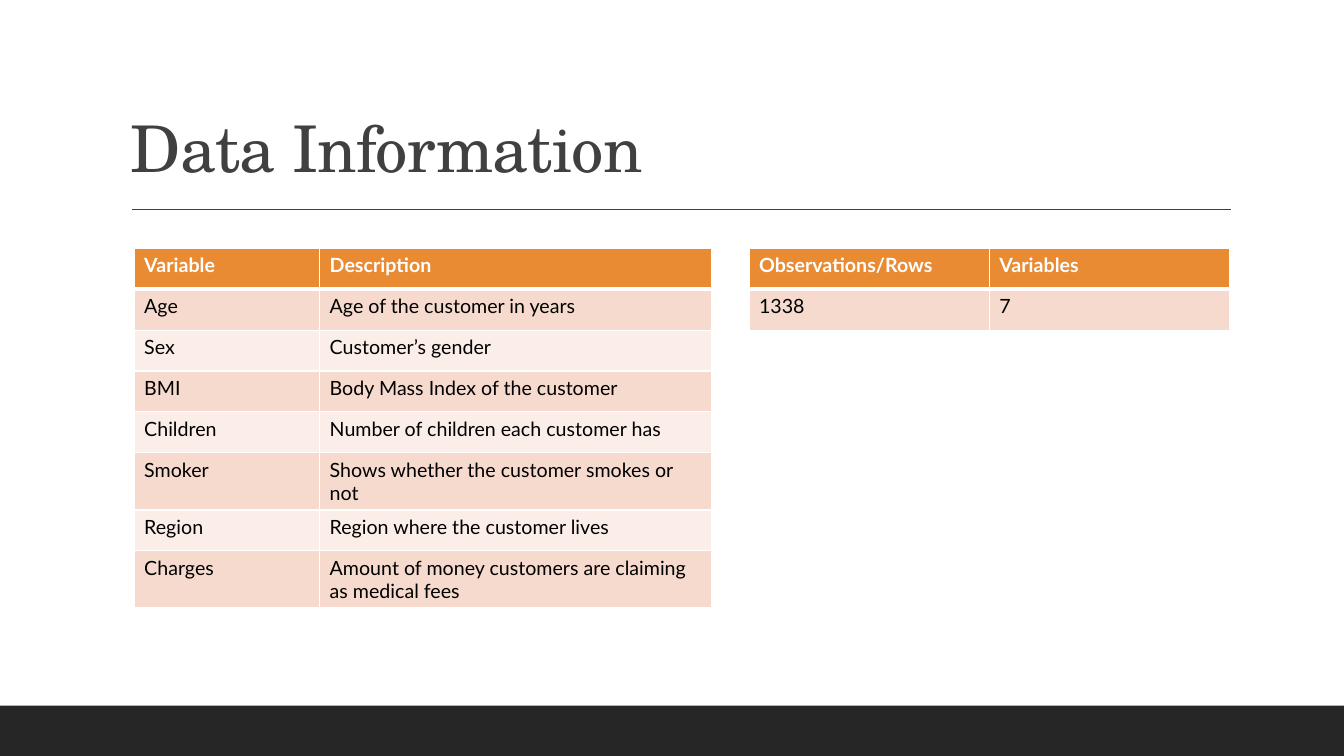
from pptx import Presentation
from pptx.dml.color import RGBColor
from pptx.enum import shapes, text
from pptx.oxml.ns import qn
from pptx.util import Pt
from lxml import etree

TITLE = "Data Information"
TABLES = [
    {"left": 95.8, "widths": (132.5, 280), "rows": [
        ("Variable", "Description"),
        ("Age", "Age of the customer in years"),
        ("Sex", "Customer’s gender"),
        ("BMI", "Body Mass Index of the customer"),
        ("Children", "Number of children each customer has"),
        ("Smoker", "Shows whether the customer smokes or not"),
        ("Region", "Region where the customer lives"),
        ("Charges", "Amount of money customers are claiming as medical fees"),
    ]},
    {"left": 535, "widths": (171.6, 171.6), "rows": [
        ("Observations/Rows", "Variables"),
        ("1338", "7"),
    ]},
]
COLORS = {"white": "FFFFFF", "black": "000000", "title": "404040", "footer": "262626",
          "header": "E88B33", "odd": "F6DACE", "even": "FBEEE8"}
WIDTH, HEIGHT = 960, 540
FOOTER_HEIGHT = 36
TABLE_TOP, ROW_HEIGHT = 177.4, 29.2
RULE_LEFT, RULE_RIGHT, RULE_Y = 94.3, 879, 149.8


def rgb(name):
    return RGBColor.from_string(COLORS[name])


def add_run(p, words, font, size, color, bold=False):
    r = p.add_run()
    r.text = words
    r.font.name = font
    r.font.size = Pt(size)
    r.font.bold = bold
    r.font.color.rgb = rgb(color)
    return r


def set_borders(cell, top, bottom):
    tcPr = cell._tc.get_or_add_tcPr()
    sides = (("lnL", 1), ("lnR", 1), ("lnT", top), ("lnB", bottom))
    for i, (tag, width) in enumerate(sides):
        ln = etree.Element(qn("a:" + tag), w=str(Pt(width)))
        fill = etree.SubElement(ln, qn("a:solidFill"))
        etree.SubElement(fill, qn("a:srgbClr"), val=COLORS["white"])
        tcPr.insert(i, ln)


def add_data_table(s, left, widths, rows):
    frame = s.shapes.add_table(len(rows), len(widths), Pt(left), Pt(TABLE_TOP),
                               Pt(sum(widths)), Pt(ROW_HEIGHT * len(rows)))
    table = frame.table
    for column, width in zip(table.columns, widths):
        column.width = Pt(width)
    for i, row in enumerate(rows):
        table.rows[i].height = Pt(ROW_HEIGHT)
        header = i == 0
        band = "header" if header else "odd" if i % 2 else "even"
        for j, words in enumerate(row):
            cell = table.cell(i, j)
            cell.fill.solid()
            cell.fill.fore_color.rgb = rgb(band)
            set_borders(cell, 3 if i == 1 else 1, 3 if header else 1)
            add_run(cell.text_frame.paragraphs[0], words, "Lato", 14,
                    "white" if header else "black", header)


def main():
    prs = Presentation()
    prs.slide_width, prs.slide_height = Pt(WIDTH), Pt(HEIGHT)
    s = prs.slides.add_slide(prs.slide_layouts[6])

    footer = s.shapes.add_shape(shapes.MSO_SHAPE.RECTANGLE, 0, Pt(HEIGHT - FOOTER_HEIGHT),
                                Pt(WIDTH), Pt(FOOTER_HEIGHT))
    footer.shadow.inherit = False
    footer.fill.solid()
    footer.fill.fore_color.rgb = rgb("footer")
    footer.line.fill.background()

    rule = s.shapes.add_connector(shapes.MSO_CONNECTOR.STRAIGHT, Pt(RULE_LEFT), Pt(RULE_Y),
                                  Pt(RULE_RIGHT), Pt(RULE_Y))
    rule.line.color.rgb = rgb("title")
    rule.line.width = Pt(1)
    etree.SubElement(rule._element.spPr, qn("a:effectLst"))

    title = s.shapes.add_textbox(Pt(86.4), Pt(22.6), Pt(792), Pt(114.2))
    tf = title.text_frame
    tf.word_wrap = True
    tf.vertical_anchor = text.MSO_ANCHOR.BOTTOM
    p = tf.paragraphs[0]
    p.line_spacing = 0.9
    r = add_run(p, TITLE, "TeX Gyre Schola", 46, "title")
    r.font._element.set("spc", "-50")

    for table in TABLES:
        add_data_table(s, **table)

    prs.save("out.pptx")


if __name__ == "__main__":
    main()
